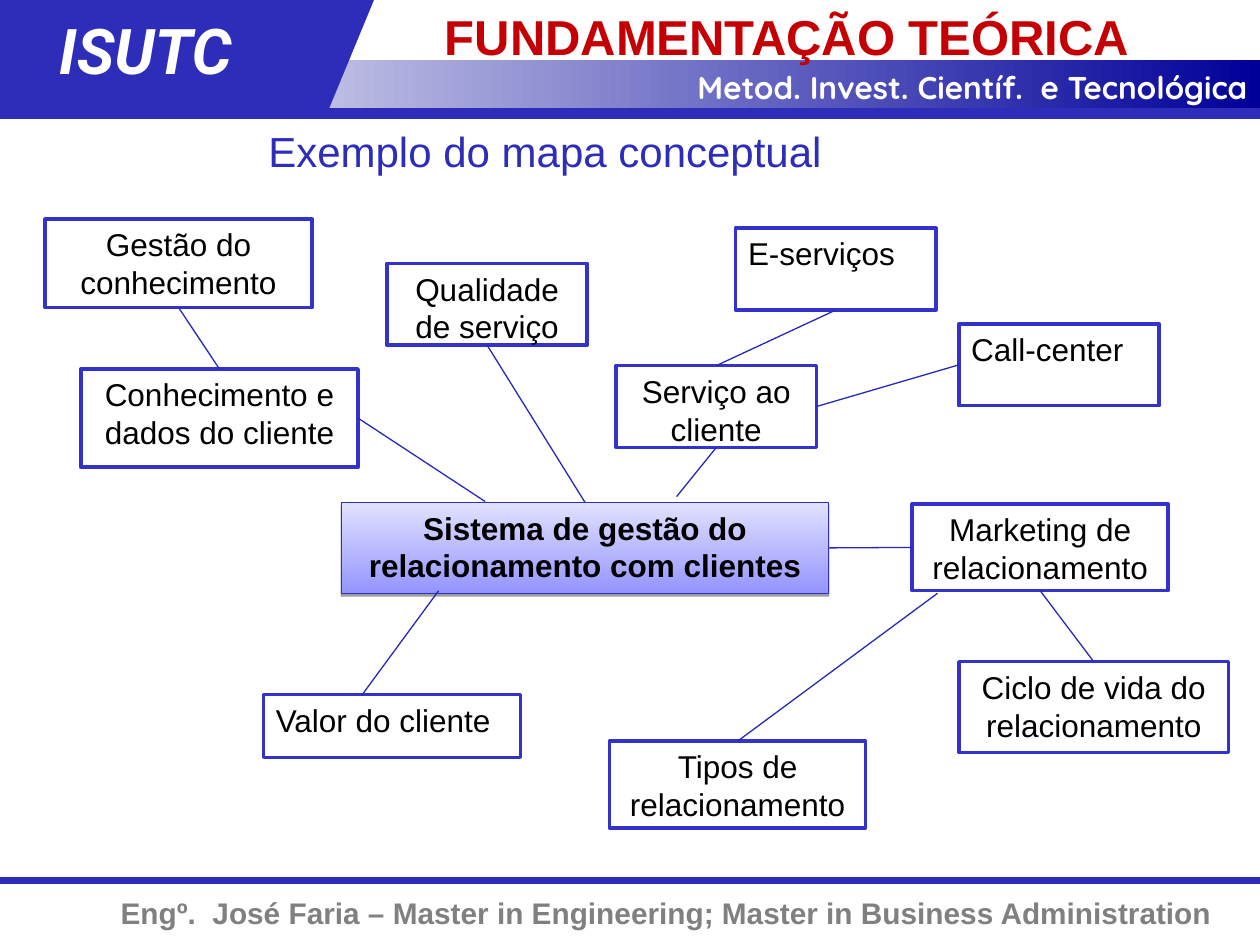
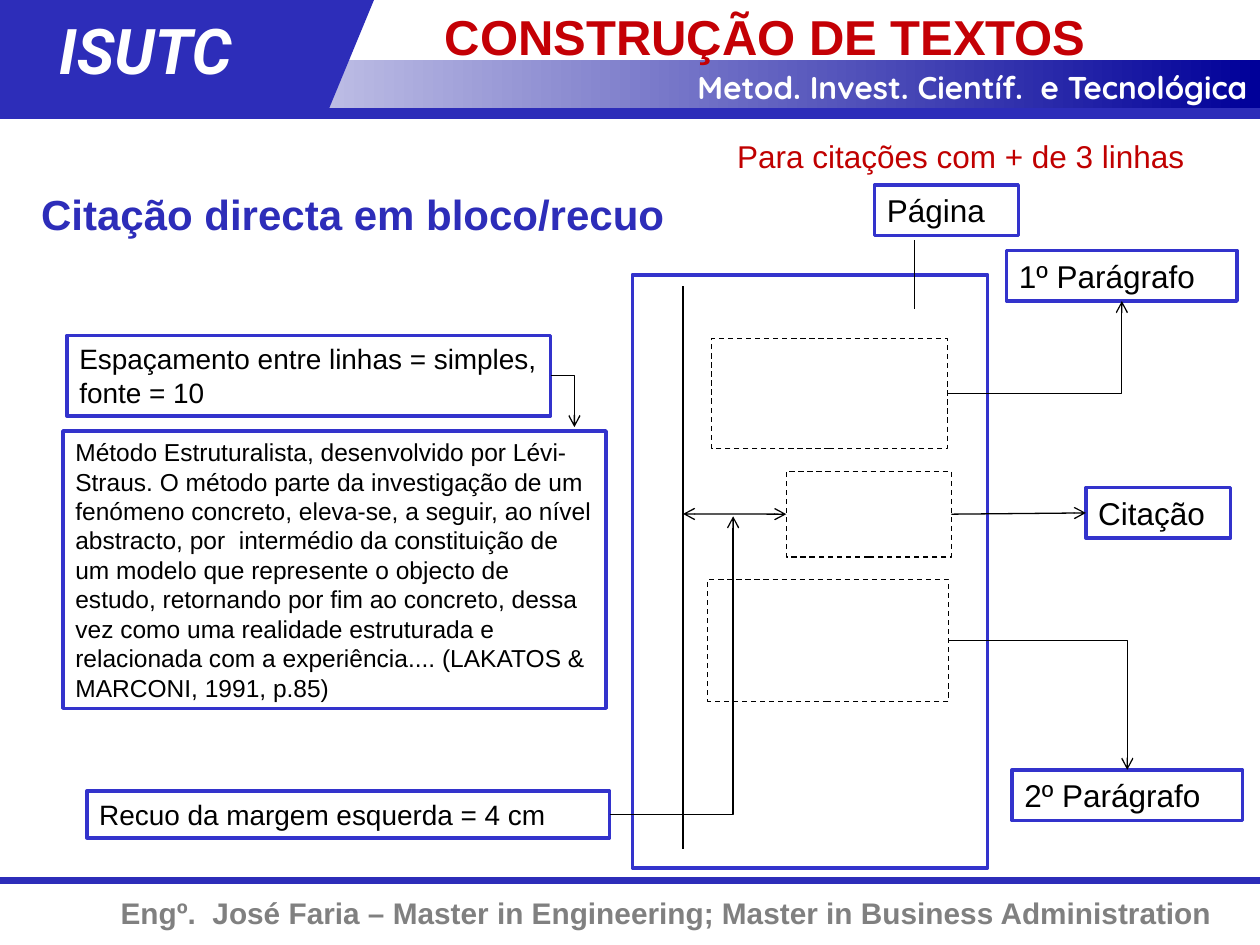
from dataclasses import dataclass
from typing import NamedTuple, Optional, Union

from pptx import Presentation
from pptx.dml.color import RGBColor
from pptx.enum import dml, shapes, text
from pptx.oxml.ns import qn
from pptx.util import Cm, Pt
from lxml import etree

WHITE = RGBColor(0xFF, 0xFF, 0xFF)
BLACK = RGBColor(0x00, 0x00, 0x00)
BAND_BLUE = RGBColor(0x2D, 0x2D, 0xB9)
NAVY = RGBColor(0x00, 0x00, 0x99)
BOX_BLUE = RGBColor(0x33, 0x33, 0xCC)
LINK_BLUE = RGBColor(0x28, 0x28, 0xB8)
CORE_LINE = RGBColor(0x2E, 0x2E, 0xCB)
CORE_LIGHT = RGBColor(0xE1, 0xE1, 0xFF)
CORE_DARK = RGBColor(0x95, 0x95, 0xFF)
TITLE_RED = RGBColor(0xC4, 0x00, 0x05)
NOTE_RED = RGBColor(0xC0, 0x00, 0x00)
FOOTER_GREY = RGBColor(0x80, 0x80, 0x80)

LEFT, CENTER, RIGHT = text.PP_ALIGN.LEFT, text.PP_ALIGN.CENTER, text.PP_ALIGN.RIGHT
RECT = shapes.MSO_SHAPE.RECTANGLE
WIDTH, HEIGHT = 25.4, 19.05
TOP_SIDE, LEFT_SIDE, BOTTOM_SIDE, RIGHT_SIDE = range(4)


class Area(NamedTuple):
    left: float
    top: float
    width: float
    height: float

    def lengths(self) -> list:
        return [Cm(v) for v in self]


class Point(NamedTuple):
    x: float
    y: float


class Side(NamedTuple):
    box: str
    site: int


@dataclass(frozen=True)
class Style:
    size: float = 18
    color: RGBColor = BLACK
    bold: bool = False
    italic: bool = False
    font: str = "Arial"
    align: text.PP_ALIGN = LEFT


@dataclass(frozen=True)
class Box:
    name: str
    area: Area
    text: str = ""
    style: Style = Style()
    dashed: bool = False


@dataclass(frozen=True)
class Link:
    start: Union[Point, Side]
    end: Union[Point, Side]
    bent: bool = False
    heads: tuple = ()


CENTERED = Style(align=CENTER)
CORE = Style(bold=True, align=CENTER)
NOTE = Style(size=16)

CONCEPTS = [
    Box("sistema", Area(6.88, 10.13, 9.83, 1.83),
        "Sistema de gestão do relacionamento com clientes", CORE),
    Box("serviço", Area(12.42, 7.37, 4.04, 1.65), "Serviço ao cliente", CENTERED),
    Box("e-serviços", Area(14.83, 4.6, 4.04, 1.65), "E-serviços"),
    Box("call-center", Area(19.33, 6.53, 4.04, 1.65), "Call-center"),
    Box("marketing", Area(18.39, 10.16, 5.16, 1.75), "Marketing de relacionamento", CENTERED),
    Box("ciclo", Area(19.33, 13.34, 5.44, 1.83), "Ciclo de vida do relacionamento", CENTERED),
    Box("tipos", Area(12.29, 14.94, 5.16, 1.75), "Tipos de relacionamento", CENTERED),
    Box("valor", Area(5.31, 14, 5.18, 1.27), "Valor do cliente"),
    Box("conhecimento", Area(1.63, 7.44, 5.59, 1.98), "Conhecimento e dados do cliente", CENTERED),
    Box("gestão", Area(0.91, 4.42, 5.38, 1.78), "Gestão do conhecimento", CENTERED),
    Box("qualidade", Area(7.8, 5.31, 4.04, 1.65), "Qualidade de serviço", CENTERED),
]
CONCEPT_LINKS = [
    Link(Point(8.84, 11.91), Point(7.29, 14.02)),
    Link(Point(13.64, 10.01), Side("serviço", BOTTOM_SIDE)),
    Link(Side("serviço", TOP_SIDE), Side("e-serviços", BOTTOM_SIDE)),
    Link(Side("serviço", RIGHT_SIDE), Side("call-center", LEFT_SIDE)),
    Link(Side("sistema", RIGHT_SIDE), Side("marketing", LEFT_SIDE)),
    Link(Side("sistema", TOP_SIDE), Side("qualidade", BOTTOM_SIDE)),
    Link(Point(9.78, 10.11), Side("conhecimento", RIGHT_SIDE)),
    Link(Side("conhecimento", TOP_SIDE), Side("gestão", BOTTOM_SIDE)),
    Link(Point(18.9, 11.96), Side("tipos", TOP_SIDE)),
    Link(Side("marketing", BOTTOM_SIDE), Side("ciclo", TOP_SIDE)),
]

PAGE_BOXES = [
    Box("método", Area(1.27, 8.69, 10.95, 5.59),
        "Método Estruturalista, desenvolvido por Lévi-Straus. O método parte da "
        "investigação de um fenómeno concreto, eleva-se, a seguir, ao nível abstracto, "
        "por  intermédio da constituição de um modelo que represente o objecto de estudo, "
        "retornando por fim ao concreto, dessa vez como uma realidade estruturada e "
        "relacionada com a experiência.... (LAKATOS & MARCONI, 1991, p.85)", Style(size=14)),
    Box("espaçamento", Area(1.35, 6.76, 9.75, 1.63),
        "Espaçamento entre linhas = simples, fonte = 10", NOTE),
    Box("recuo", Area(1.75, 15.95, 10.54, 0.94), "Recuo da margem esquerda = 4 cm", NOTE),
    Box("folha", Area(12.75, 5.54, 7.16, 11.96)),
    Box("página", Area(17.63, 3.73, 2.9, 1.02), "Página"),
    Box("1º parágrafo", Area(20.29, 5.05, 4.65, 1.02), "1º Parágrafo"),
    Box("2º parágrafo", Area(20.4, 15.52, 4.65, 1.02), "2º Parágrafo"),
    Box("citação", Area(21.89, 9.83, 2.92, 1.02), "Citação"),
    Box("bloco 1", Area(14.35, 6.83, 4.75, 2.21), dashed=True),
    Box("bloco 2", Area(14.27, 11.68, 4.85, 2.46), dashed=True),
    Box("bloco citado", Area(15.85, 9.5, 3.33, 1.73), dashed=True),
]
TAIL = ("tailEnd",)
PAGE_LINKS = [
    Link(Point(13.77, 5.77), Point(13.77, 17.12)),
    Link(Point(13.77, 10.36), Side("bloco citado", LEFT_SIDE), heads=("headEnd", "tailEnd")),
    Link(Side("recuo", RIGHT_SIDE), Point(14.78, 10.41), True, TAIL),
    Link(Side("bloco citado", RIGHT_SIDE), Side("citação", LEFT_SIDE), heads=TAIL),
    Link(Side("bloco 1", RIGHT_SIDE), Side("1º parágrafo", BOTTOM_SIDE), True, TAIL),
    Link(Side("bloco 2", RIGHT_SIDE), Side("2º parágrafo", TOP_SIDE), True, TAIL),
    Link(Point(18.44, 6.22), Point(18.44, 4.83)),
    Link(Side("espaçamento", RIGHT_SIDE), Point(11.58, 8.61), True, TAIL),
]


def write(sp, content: str, style: Style) -> None:
    tf = sp.text_frame
    tf.word_wrap = True
    tf.vertical_anchor = text.MSO_ANCHOR.TOP
    p = tf.paragraphs[0]
    p.text = content
    p.alignment = style.align
    font = p.runs[0].font
    font.name, font.size = style.font, Pt(style.size)
    font.bold, font.italic = style.bold, style.italic
    font.color.rgb = style.color


def add_text(s, area: Area, content: str, style: Style):
    sp = s.shapes.add_textbox(*area.lengths())
    write(sp, content, style)
    return sp


def add_filled(s, area: Area, fill: Optional[RGBColor], kind=RECT):
    """Add a shape without outline or shadow; None leaves it unfilled."""
    sp = s.shapes.add_shape(kind, *area.lengths())
    sp.shadow.inherit = False
    if fill is None:
        sp.fill.background()
    else:
        sp.fill.solid()
        sp.fill.fore_color.rgb = fill
    sp.line.fill.background()
    return sp


def set_line(sp, color: RGBColor, width: float) -> None:
    sp.line.color.rgb = color
    sp.line.width = Pt(width)


def set_gradient(sp, first: RGBColor, last: RGBColor, angle: float) -> None:
    sp.fill.gradient()
    sp.fill.gradient_angle = angle
    for stop, color in zip(sp.fill.gradient_stops, (first, last)):
        stop.color.rgb = color


def add_box(s, box: Box):
    sp = add_filled(s, box.area, None if box.dashed else WHITE)
    if box.dashed:
        set_line(sp, BLACK, 0.75)
        sp.line.dash_style = dml.MSO_LINE.DASH
    else:
        set_line(sp, BOX_BLUE, 2)
    if box.text:
        write(sp, box.text, box.style)
    return sp


def highlight(sp) -> None:
    """Give the central concept its gradient, thin outline and drop shadow."""
    set_gradient(sp, CORE_LIGHT, CORE_DARK, 270)
    set_line(sp, CORE_LINE, 0.75)
    effects = sp._element.spPr.find(qn("a:effectLst"))
    shadow = etree.SubElement(effects, qn("a:outerShdw"), blurRad="0", dist="20000",
                              dir="5400000", rotWithShape="0")
    color = etree.SubElement(shadow, qn("a:srgbClr"), val=str(BLACK))
    etree.SubElement(color, qn("a:alpha"), val="38000")


def add_line(s, start: Point, end: Point, color: RGBColor, width: float, bent: bool = False):
    kind = shapes.MSO_CONNECTOR.ELBOW if bent else shapes.MSO_CONNECTOR.STRAIGHT
    cxn = s.shapes.add_connector(kind, *(Cm(v) for v in (*start, *end)))
    set_line(cxn, color, width)
    props = cxn._element.spPr
    etree.SubElement(props, qn("a:effectLst"))
    if bent:
        props.find(qn("a:prstGeom")).set("prst", "bentConnector2")
    return cxn


def locate(end: Union[Point, Side], boxes: dict[str, Box]) -> Point:
    if isinstance(end, Point):
        return end
    a = boxes[end.box].area
    dx, dy = ((0.5, 0), (0, 0.5), (0.5, 1), (1, 0.5))[end.site]
    return Point(a.left + dx * a.width, a.top + dy * a.height)


def add_diagram(s, boxes: list[Box], links: list[Link], color: RGBColor) -> dict:
    """Draw the boxes, join them with the links and return the shapes by name."""
    by_name = {box.name: box for box in boxes}
    drawn = {box.name: add_box(s, box) for box in boxes}
    for link in links:
        start, end = locate(link.start, by_name), locate(link.end, by_name)
        cxn = add_line(s, start, end, color, 0.75, link.bent)
        if isinstance(link.start, Side):
            cxn.begin_connect(drawn[link.start.box], link.start.site)
        if isinstance(link.end, Side):
            cxn.end_connect(drawn[link.end.box], link.end.site)
        for head in link.heads:
            etree.SubElement(cxn.line._get_or_add_ln(), qn(f"a:{head}"), type="arrow")
    return drawn


def add_slide(prs, title: str):
    """Add a slide with the header bands, the footer and its title."""
    s = prs.slides.add_slide(prs.slide_layouts[6])
    add_line(s, Point(0, 17.75), Point(WIDTH, 17.75), BAND_BLUE, 4)
    add_text(s, Area(0, 17.91, 24.69, 0.99),
             "Engº.  José Faria – Master in Engineering; Master in Business Administration",
             Style(17, FOOTER_GREY, bold=True, align=RIGHT))
    band = add_filled(s, Area(0, 1.22, WIDTH, 0.99), WHITE)
    set_gradient(band, WHITE, NAVY, 0)
    add_filled(s, Area(2.97, 0, 4.57, 2.21), BAND_BLUE, shapes.MSO_SHAPE.FLOWCHART_DATA)
    add_filled(s, Area(0, 0, 4.04, 2.21), BAND_BLUE)
    add_text(s, Area(11.07, 1.24, 14.33, 1.02), "Metod. Invest. Científ.  e Tecnológica",
             Style(18, WHITE, bold=True, font="Quicksand", align=RIGHT))
    add_text(s, Area(0.94, 0.1, 4.9, 1.78), "ISUTC",
             Style(36, WHITE, bold=True, italic=True, font="Roboto"))
    add_line(s, Point(0, 2.29), Point(WIDTH, 2.29), BAND_BLUE, 6)
    heading = add_text(s, Area(7.62, 0, 17.78, 1.22), title, Style(28, TITLE_RED, bold=True))
    heading.text_frame.margin_left = Cm(1.35)
    return s


def main() -> None:
    prs = Presentation()
    prs.slide_width, prs.slide_height = Cm(WIDTH), Cm(HEIGHT)

    s = add_slide(prs, "FUNDAMENTAÇÃO TEÓRICA")
    add_text(s, Area(5.16, 2.41, 12.04, 1.27), "Exemplo do mapa conceptual", Style(24, BAND_BLUE))
    concepts = add_diagram(s, CONCEPTS, CONCEPT_LINKS, LINK_BLUE)
    highlight(concepts["sistema"])

    s = add_slide(prs, "CONSTRUÇÃO DE TEXTOS")
    add_diagram(s, PAGE_BOXES, PAGE_LINKS, BLACK)
    add_text(s, Area(0.58, 3.68, 14.71, 1.27), "Citação directa em bloco/recuo",
             Style(24, BAND_BLUE, bold=True))
    add_text(s, Area(14.61, 2.64, 9.83, 1.02), "Para citações com + de 3 linhas",
             Style(color=NOTE_RED))

    prs.save("out.pptx")


if __name__ == "__main__":
    main()
